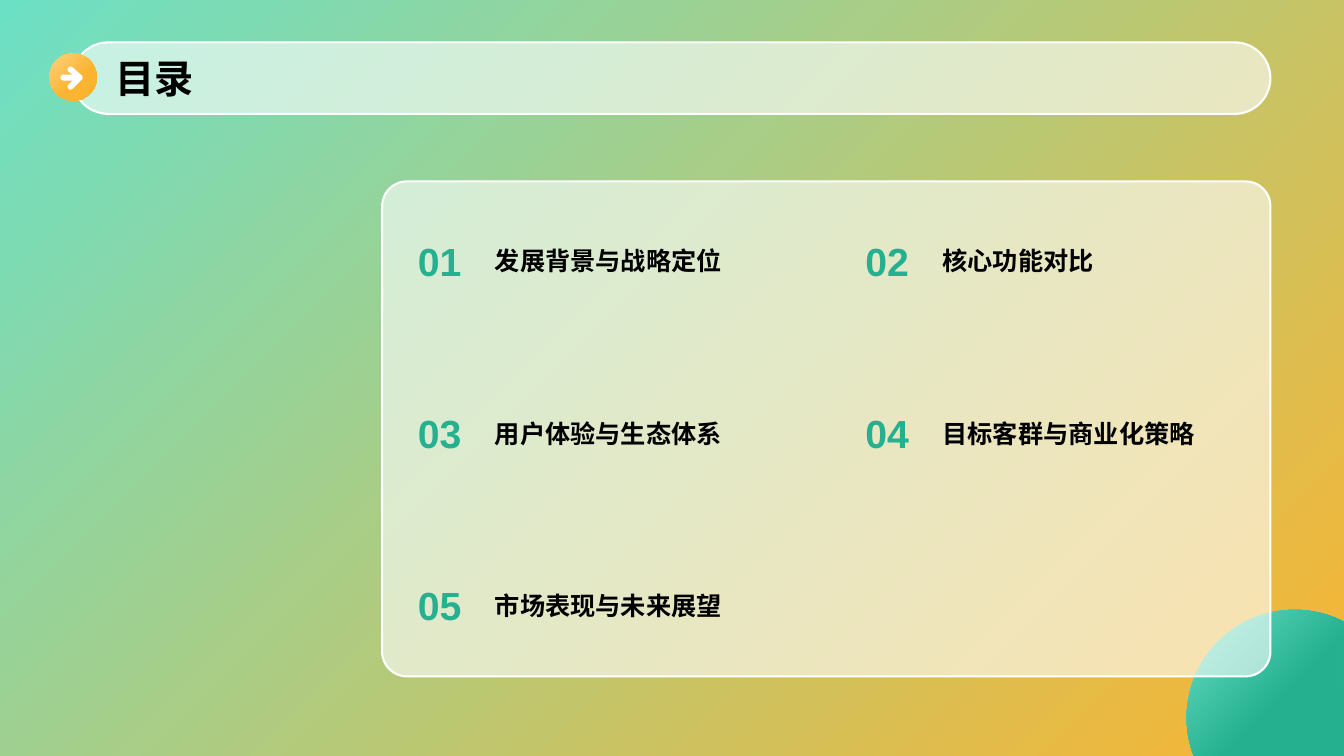
from math import cos, radians, sin

from lxml import etree
from pptx import Presentation
from pptx.dml.color import RGBColor
from pptx.enum.shapes import MSO_SHAPE as Preset
from pptx.enum.text import MSO_ANCHOR as Anchor, PP_ALIGN as Align
from pptx.oxml.ns import qn
from pptx.util import Inches, Pt

WHITE = RGBColor(0xFF, 0xFF, 0xFF)
BLACK = RGBColor(0, 0, 0)
MINT = RGBColor(0x6C, 0xE0, 0xC5)
GREEN = RGBColor(0x25, 0xB1, 0x90)
PEACH = RGBColor(0xFD, 0xD2, 0x83)
AMBER = RGBColor(0xFB, 0xB4, 0x30)

HAN_FONT = "Noto Sans CJK SC"
TOPICS = ["发展背景与战略定位", "核心功能对比", "用户体验与生态体系",
          "目标客群与商业化策略", "市场表现与未来展望"]
GRID_LEFT, GRID_TOP = 4.02, 1.99
COLUMN_STEP, ROW_STEP = 4.44, 1.71
ROW_HEIGHT = 1.19


def set_diagonal_gradient(fill, start, end, end_position=1.0):
    """Blend two colours from the top left to the bottom right."""
    fill.gradient()
    fill.gradient_angle = 315
    first, last = fill.gradient_stops
    first.color.rgb, last.color.rgb = start, end
    first.position, last.position = 0, end_position


def add_glass_panel(slide, left, top, width, height, rounding):
    """Add a translucent white rounded rectangle with a white border."""
    panel = slide.shapes.add_shape(Preset.ROUNDED_RECTANGLE, Inches(left),
                                   Inches(top), Inches(width), Inches(height))
    panel.adjustments[0] = rounding
    panel.shadow.inherit = False
    panel.fill.solid()
    panel.fill.fore_color.rgb = WHITE
    color = panel.fill._xPr.find(".//" + qn("a:srgbClr"))
    etree.SubElement(color, qn("a:alpha"), val="60000")
    panel.line.color.rgb = WHITE
    panel.line.width = Pt(1.5)


def arc(center_x, center_y, radius, start, end, step=3):
    """Points in inches along an arc, clockwise in degrees from the right."""
    return [(center_x + radius * cos(radians(angle)),
             center_y + radius * sin(radians(angle)))
            for angle in range(start, end + 1, step)]


def add_outline(slide, points):
    corners = [(Inches(x), Inches(y)) for x, y in points]
    builder = slide.shapes.build_freeform(*corners[0])
    builder.add_line_segments(corners[1:], close=True)
    outline = builder.convert_to_shape()
    outline.shadow.inherit = False
    outline.line.fill.background()
    return outline


def add_arrow_badge(slide):
    badge = slide.shapes.add_shape(Preset.OVAL, Inches(0.49), Inches(0.53),
                                   Inches(0.47), Inches(0.47))
    badge.shadow.inherit = False
    badge.line.fill.background()
    set_diagonal_gradient(badge.fill, PEACH, AMBER, 0.6)

    tail = arc(0.63, 0.77, 0.03, 90, 270, 15)
    upper_tip = arc(0.7, 0.69, 0.03, 135, 315, 15)
    nose = arc(0.79, 0.77, 0.03, 315, 405, 15)
    lower_tip = arc(0.7, 0.86, 0.03, 45, 225, 15)
    arrow = add_outline(slide, tail + [(0.72, 0.74)] + upper_tip + nose
                        + lower_tip + [(0.72, 0.8)])
    arrow.fill.solid()
    arrow.fill.fore_color.rgb = WHITE


def add_corner_disc(slide):
    """Add the disc that the bottom right slide corner cuts off."""
    disc = add_outline(slide, arc(12.84, 7.12, 1.07, 159, 297) + [(13.33, 7.5)])
    set_diagonal_gradient(disc.fill, MINT, GREEN, 0.6)


def add_label(slide, text, left, top, width, height, size,
              font=HAN_FONT, color=BLACK, align=Align.LEFT, wrap=True):
    box = slide.shapes.add_textbox(Inches(left), Inches(top),
                                   Inches(width), Inches(height))
    frame = box.text_frame
    frame.word_wrap = wrap
    frame.vertical_anchor = Anchor.MIDDLE
    para = frame.paragraphs[0]
    para.text = text
    para.alignment = align
    para.font.size = Pt(size)
    para.font.bold = True
    para.font.name = font
    para.font.color.rgb = color
    if font == HAN_FONT:
        latin = para.font._element.find(qn("a:latin"))
        east_asian = etree.Element(qn("a:ea"), typeface=font)
        latin.addnext(east_asian)


def add_topics(slide):
    for index, topic in enumerate(TOPICS):
        row, column = divmod(index, 2)
        left = GRID_LEFT + column * COLUMN_STEP
        top = GRID_TOP + row * ROW_STEP
        add_label(slide, f"{index + 1:02}", left, top, 0.68, ROW_HEIGHT, 28,
                  "Arial", GREEN, Align.CENTER, wrap=False)
        alone = column == 0 and index == len(TOPICS) - 1
        width = 3.11 + COLUMN_STEP * alone
        add_label(slide, topic, left + 0.79, top, width, ROW_HEIGHT, 18)


def main():
    deck = Presentation()
    deck.slide_width, deck.slide_height = Inches(13.33), Inches(7.5)
    slide = deck.slides.add_slide(deck.slide_layouts[6])
    set_diagonal_gradient(slide.background.fill, MINT, AMBER)
    add_glass_panel(slide, 0.72, 0.42, 11.88, 0.71, 0.5)
    add_arrow_badge(slide)
    add_corner_disc(slide)
    add_glass_panel(slide, 3.79, 1.8, 8.81, 4.91, 0.05)
    add_topics(slide)
    add_label(slide, "目录", 1.05, 0.46, 11.34, 0.63, 28)
    deck.save("out.pptx")


if __name__ == "__main__":
    main()
